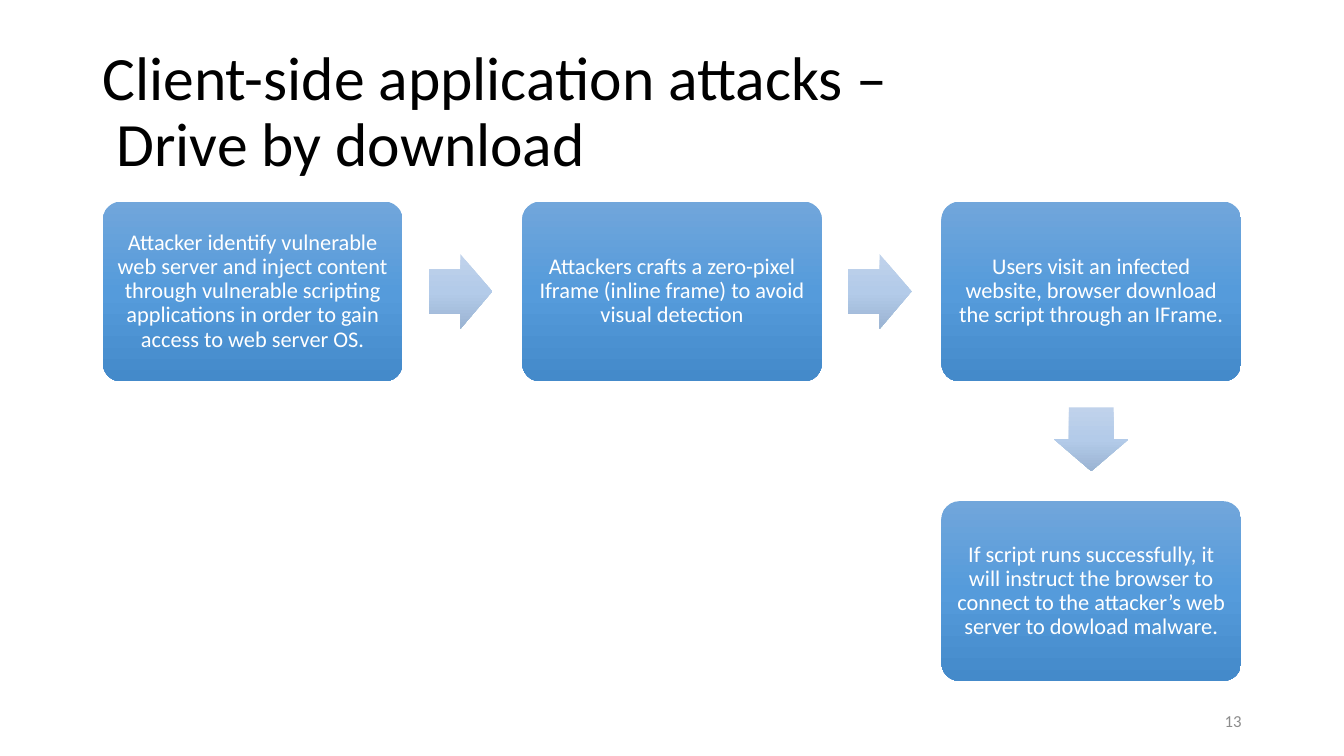
import copy
from dataclasses import dataclass

import pptx
import pptx.dml.color
import pptx.enum.shapes
import pptx.enum.text
import pptx.util

Pt = pptx.util.Pt
Shape = pptx.enum.shapes.MSO_SHAPE
Align = pptx.enum.text.PP_ALIGN
Anchor = pptx.enum.text.MSO_ANCHOR


@dataclass(frozen=True)
class Theme:
    font: str = "Calibri"
    title_size: int = 44
    step_size: int = 16
    number_size: int = 12
    title_color: str = "000000"
    step_color: str = "FFFFFF"
    number_color: str = "8C8C8C"
    step_fill: tuple = ("71A6DB", "559BDB", "448ACA")
    arrow_fill: tuple = ("C0D2EB", "B3CBE9", "9BB4D3")


def rgb(value):
    return pptx.dml.color.RGBColor.from_string(value)


def write(frame, text, *, font, size, color, align=Align.LEFT, spacing=1.0, inset=None):
    frame.word_wrap = True
    frame.auto_size = pptx.enum.text.MSO_AUTO_SIZE.NONE
    frame.vertical_anchor = Anchor.MIDDLE
    if inset is not None:
        frame.margin_left = frame.margin_right = Pt(inset)
        frame.margin_top = frame.margin_bottom = Pt(inset)
    frame.text = text
    for paragraph in frame.paragraphs:
        paragraph.alignment = align
        paragraph.line_spacing = spacing
        for run in paragraph.runs:
            run.font.name = font
            run.font.size = Pt(size)
            run.font.color.rgb = rgb(color)


class FlowSlide:
    def __init__(self, slide, theme):
        self.slide = slide
        self.theme = theme

    def title(self, text, left, top, width, height):
        heading = self.slide.shapes.title
        heading.left, heading.top = Pt(left), Pt(top)
        heading.width, heading.height = Pt(width), Pt(height)
        write(heading.text_frame, text, font=self.theme.font, size=self.theme.title_size,
              color=self.theme.title_color, spacing=0.9)

    def block(self, kind, left, top, width, height, colors, adjustments):
        block = self.slide.shapes.add_shape(kind, Pt(left), Pt(top), Pt(width), Pt(height))
        block.shadow.inherit = False
        block.line.fill.background()
        for index, value in enumerate(adjustments):
            block.adjustments[index] = value
        block.fill.gradient()
        block.fill.gradient_angle = 270
        first_stop = block.element.spPr.gradFill.gsLst[0]
        first_stop.addnext(copy.deepcopy(first_stop))
        for stop, color, position in zip(block.fill.gradient_stops, colors, (0, 0.5, 1)):
            stop.color.rgb = rgb(color)
            stop.position = position
        return block

    def step(self, text, left, top, width, height):
        step = self.block(Shape.ROUNDED_RECTANGLE, left, top, width, height,
                          self.theme.step_fill, [0.1])
        write(step.text_frame, text, font=self.theme.font, size=self.theme.step_size,
              color=self.theme.step_color, align=Align.CENTER, spacing=0.9, inset=5)

    def arrow(self, kind, left, top, width, height):
        self.block(kind, left, top, width, height, self.theme.arrow_fill, [0.6, 0.5])

    def number(self, text, left, top, width, height):
        number = self.slide.shapes.add_textbox(Pt(left), Pt(top), Pt(width), Pt(height))
        write(number.text_frame, text, font=self.theme.font, size=self.theme.number_size,
              color=self.theme.number_color, align=Align.RIGHT)


STEPS = [
    (0, 0, "Attacker identify vulnerable web server and inject content through vulnerable "
           "scripting applications in order to gain access to web server OS."),
    (1, 0, "Attackers crafts a zero-pixel Iframe (inline frame) to avoid visual detection"),
    (2, 0, "Users visit an infected website, browser download the script through an IFrame."),
    (2, 1, "If script runs successfully, it will instruct the browser to connect to the "
           "attacker’s web server to dowload malware."),
]
FLOW_LEFT, FLOW_TOP = 73.5, 144
STEP_WIDTH, STEP_HEIGHT = 214, 128.4
COLUMN_PITCH, ROW_PITCH = 299.5, 214
ARROW_LENGTH, ARROW_BREADTH, ARROW_GAP = 45.4, 53.2, 18.7


def main():
    deck = pptx.Presentation()
    deck.slide_width, deck.slide_height = Pt(960), Pt(540)
    flow = FlowSlide(deck.slides.add_slide(deck.slide_layouts[5]), Theme())
    flow.title("Client-side application attacks –\v Drive by download", 66, 28.8, 828, 104.4)

    for index, (column, row, text) in enumerate(STEPS):
        left = FLOW_LEFT + column * COLUMN_PITCH
        top = FLOW_TOP + row * ROW_PITCH
        flow.step(text, left, top, STEP_WIDTH, STEP_HEIGHT)
        if index + 1 == len(STEPS):
            continue
        if STEPS[index + 1][1] == row:
            flow.arrow(Shape.RIGHT_ARROW, left + STEP_WIDTH + ARROW_GAP,
                       top + (STEP_HEIGHT - ARROW_BREADTH) / 2, ARROW_LENGTH, ARROW_BREADTH)
        else:
            flow.arrow(Shape.DOWN_ARROW, left + (STEP_WIDTH - ARROW_BREADTH) / 2,
                       top + STEP_HEIGHT + ARROW_GAP, ARROW_BREADTH, ARROW_LENGTH)

    flow.number("13", 678, 500.5, 216, 28.8)
    deck.save("out.pptx")


if __name__ == "__main__":
    main()
